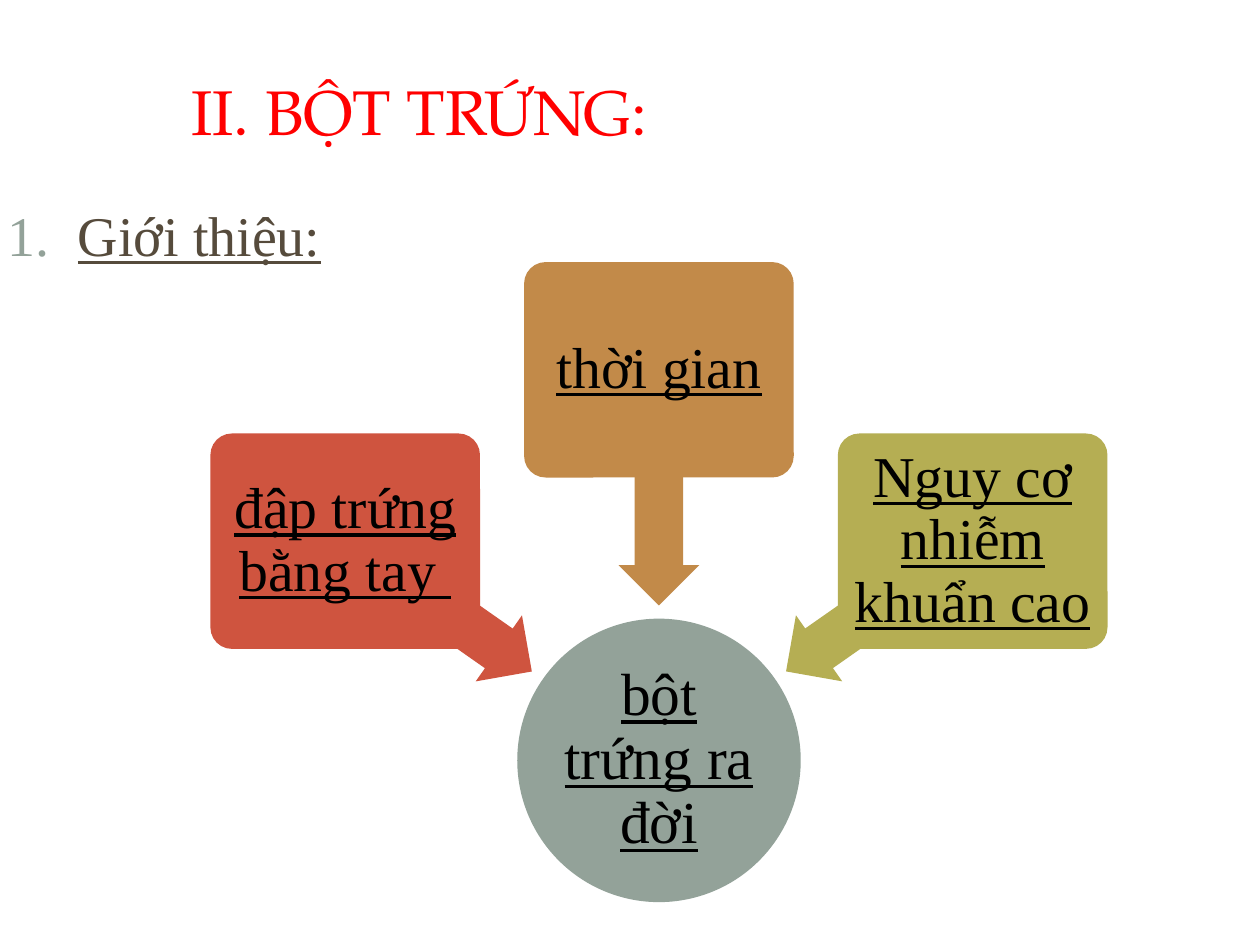
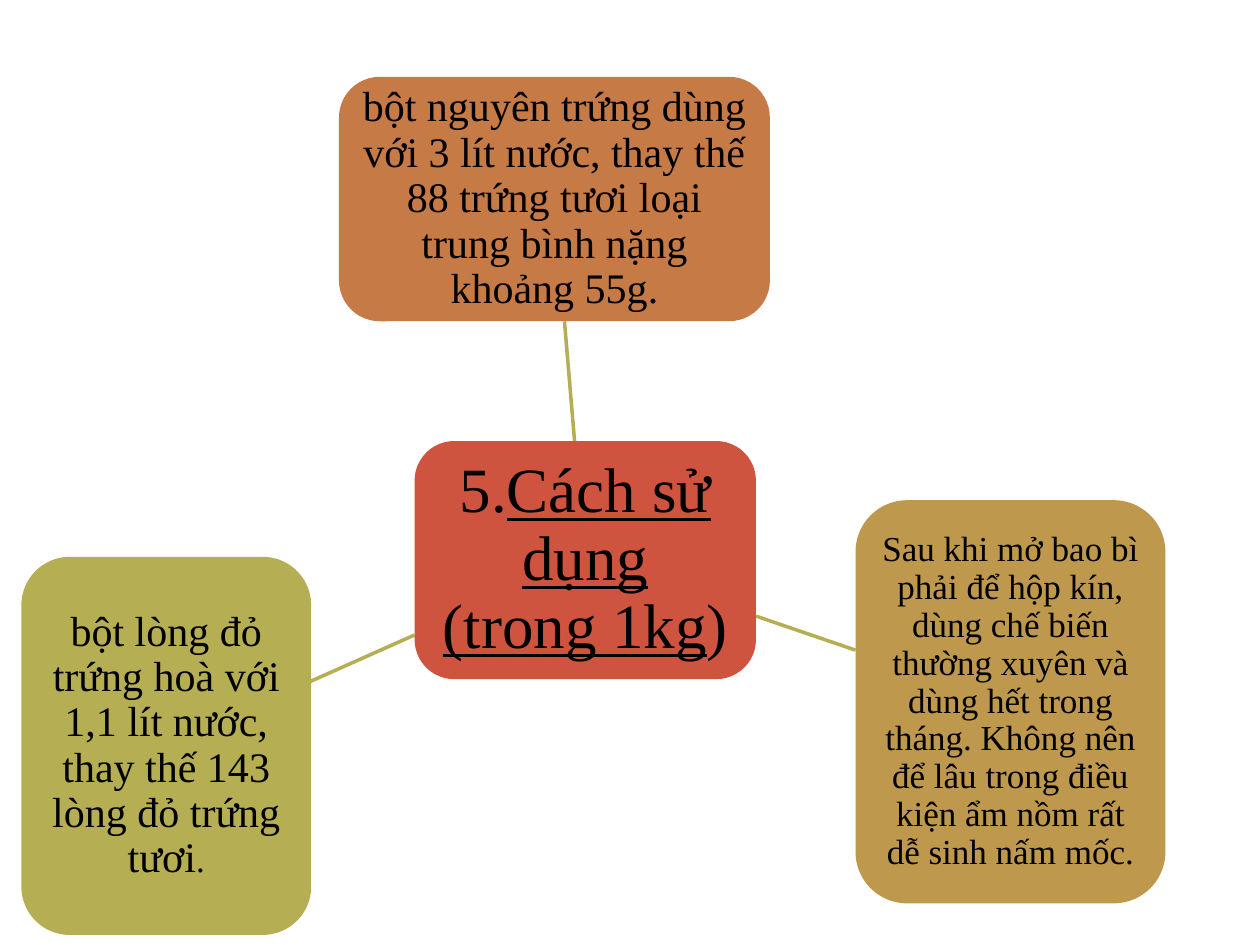
from lxml.etree import SubElement
from pptx import Presentation
from pptx.dml.color import RGBColor
from pptx.enum.shapes import MSO_CONNECTOR, MSO_SHAPE
from pptx.enum.text import MSO_ANCHOR, MSO_AUTO_SIZE, PP_ALIGN
from pptx.oxml.ns import qn
from pptx.util import Inches, Pt

# Shared style
RED = RGBColor(0xFF, 0x00, 0x00)
BLACK = RGBColor(0x00, 0x00, 0x00)
BROWN = RGBColor(0x56, 0x4B, 0x3C)
SAGE = RGBColor(0x93, 0xA2, 0x99)
BRICK = RGBColor(0xCF, 0x54, 0x3F)
AMBER = RGBColor(0xC2, 0x8A, 0x49)
OLIVE = RGBColor(0xB5, 0xAE, 0x53)
RUST = RGBColor(0xC6, 0x7A, 0x46)
SAND = RGBColor(0xBE, 0x98, 0x4C)
HEAD_FONT = "TeX Gyre Pagella"
BODY_FONT = "Times New Roman"


def style(run, size, color=BLACK, name=BODY_FONT, under=None):
    font = run.font
    font.size, font.name, font.underline = Pt(size), name, under
    font.color.rgb = color


def block(slide, kind, box, fill):
    """Plain filled shape without outline or shadow."""
    shape = slide.shapes.add_shape(kind, *map(Inches, box))
    shape.shadow.inherit = False
    shape.fill.solid()
    shape.fill.fore_color.rgb = fill
    shape.line.fill.background()
    return shape


def card(slide, kind, box, fill, inset, parts, round_by=None):
    """Filled shape with centred text; parts are (text, size, underline)."""
    shape = block(slide, kind, box, fill)
    if round_by:
        shape.adjustments[0] = round_by
    frame = shape.text_frame
    frame.word_wrap = True
    frame.vertical_anchor = MSO_ANCHOR.MIDDLE
    frame.margin_left = frame.margin_right = Inches(inset)
    frame.margin_top = frame.margin_bottom = Inches(inset)
    para = frame.paragraphs[0]
    para.alignment = PP_ALIGN.CENTER
    para.line_spacing = 0.9
    for text, size, under in parts:
        run = para.add_run()
        run.text = text
        style(run, size, under=under)


def link(slide, x1, y1, x2, y2):
    line = slide.shapes.add_connector(
        MSO_CONNECTOR.STRAIGHT, *map(Inches, (x1, y1, x2, y2)))
    line.line.color.rgb = OLIVE
    line.line.width = Pt(2)
    SubElement(line._element.spPr, qn("a:effectLst"))


def title(slide, text, box):
    head = slide.shapes.title
    head.left, head.top, head.width, head.height = map(Inches, box)
    frame = head.text_frame
    frame.text = text
    frame.auto_size = MSO_AUTO_SIZE.NONE
    frame.vertical_anchor = MSO_ANCHOR.MIDDLE
    frame.margin_left = Inches(1.1)
    para = frame.paragraphs[0]
    para.alignment = PP_ALIGN.LEFT
    style(para.runs[0], 36, RED, HEAD_FONT)


def topic(slide, text, box):
    """Numbered, underlined heading."""
    frame = slide.shapes.add_textbox(*map(Inches, box)).text_frame
    frame.word_wrap = True
    para = frame.paragraphs[0]
    para.text = text
    props = para._p.get_or_add_pPr()
    props.set("marL", str(Inches(0.69)))
    props.set("indent", str(Inches(-0.56)))
    tint = SubElement(props, qn("a:buClr"))
    SubElement(tint, qn("a:srgbClr"), val=str(SAGE))
    SubElement(props, qn("a:buFont"), typeface="+mj-lt")
    SubElement(props, qn("a:buAutoNum"), type="arabicPeriod")
    style(para.runs[0], 32, BROWN, under=True)


def causes(slide, x, y, w, h):
    """Three causes whose arrows meet at the result below."""
    mid = x + w / 2
    wide, high, thick = 2.14, 1.71, 0.64
    step = (w - wide) / 2
    items = [
        # text, fill, column, drop, arrow shift, arrow drop, length, turn
        ("đập trứng bằng tay ", BRICK, -1, 1.36, -1.75, 2.73, 1.81, 215),
        ("thời gian", AMBER, 0, 0, 0, 1.79, 1.87, 270),
        ("Nguy cơ nhiễm khuẩn cao", OLIVE, 1, 1.36, 1.75, 2.73, 1.81, 325),
    ]
    size = 2.25
    card(slide, MSO_SHAPE.OVAL, (mid - size / 2, y + h - size, size, size),
         SAGE, 0.02, [("bột trứng ra đời", 34, True)])
    for text, fill, col, drop, shift, fall, length, turn in items:
        arrow = block(slide, MSO_SHAPE.LEFT_ARROW,
                      (mid + shift - length / 2, y + fall - thick / 2,
                       length, thick), fill)
        arrow.adjustments[0] = 0.6
        arrow.rotation = turn
        left = mid + col * step - wide / 2
        card(slide, MSO_SHAPE.ROUNDED_RECTANGLE, (left, y + drop, wide, high),
             fill, 0.07, [(text, 33, True)], 0.1)


def usage(slide, x, y):
    """Central heading linked to three notes."""
    core = [("5.", 36, None), ("Cách sử dụng (trong 1kg", 36, True),
            (")", 36, None)]
    whole = [("bột nguyên trứng dùng với 3 lít nước, thay thế 88 trứng tươi "
              "loại trung bình nặng khoảng 55g.", 24, None)]
    store = [("Sau khi mở bao bì phải để hộp kín, dùng chế biến thường xuyên "
              "và dùng hết trong tháng. Không nên để lâu trong điều kiện ẩm "
              "nồm rất dễ sinh nấm mốc.", 20, None)]
    yolk = [("bột lòng đỏ trứng hoà với 1,1 lít nước, thay thế 143 lòng đỏ "
             "trứng tươi", 24, None), (".", 20, None)]
    for x1, y1, x2, y2 in [(4.39, 2.89, 4.31, 1.94), (5.83, 4.28, 6.62, 4.55),
                           (3.12, 4.43, 2.29, 4.8)]:
        link(slide, x + x1, y + y1, x + x2, y + y2)
    for left, top, wide, high, fill, inset, parts in [
            (3.12, 2.89, 2.71, 1.89, BRICK, 0.1, core),
            (2.52, 0, 3.42, 1.94, RUST, 0.07, whole),
            (6.62, 3.36, 2.46, 3.2, SAND, 0.06, store),
            (0, 3.81, 2.3, 3, OLIVE, 0.07, yolk)]:
        card(slide, MSO_SHAPE.ROUNDED_RECTANGLE,
             (x + left, y + top, wide, high), fill, inset, parts)


def main():
    deck = Presentation()
    deck.slide_width, deck.slide_height = Inches(10), Inches(7.5)
    titled, blank = deck.slide_layouts[5], deck.slide_layouts[6]

    # Introduction
    intro = deck.slides.add_slide(titled)
    title(intro, "II. BỘT TRỨNG:", (0.42, 0.25, 9.08, 1.25))
    topic(intro, "Giới thiệu:", (-0.17, 1.54, 9.58, 0.65))
    causes(intro, 1.67, 2.08, 7.12, 5.08)

    # How to use
    usage(deck.slides.add_slide(blank), 0.17, 0.61)

    deck.save("out.pptx")


if __name__ == "__main__":
    main()
